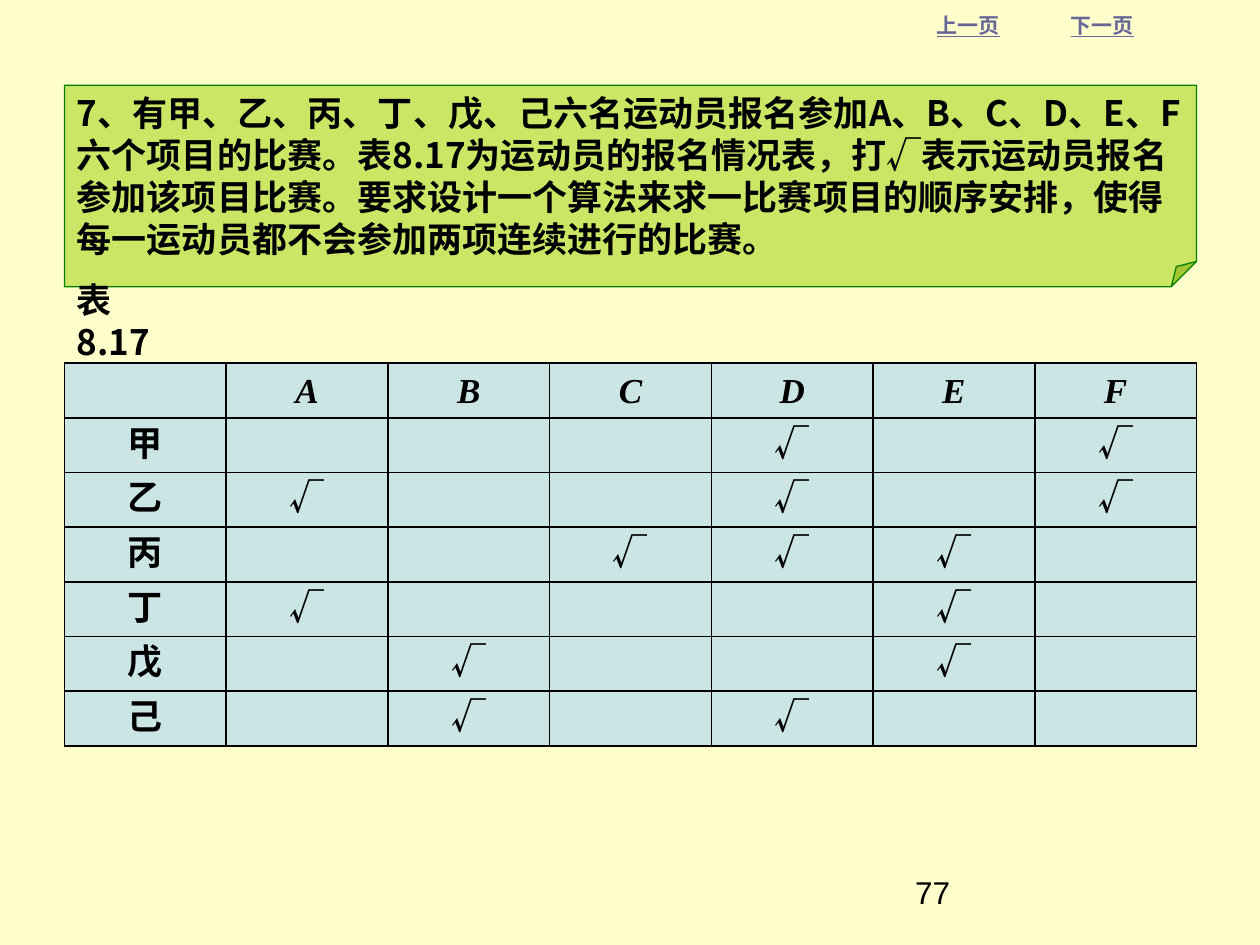
"""Build the slide with the athletes' entry table and its scheduling exercise."""
from dataclasses import dataclass

from pptx import Presentation
from pptx import util as u
from pptx.dml import color as c
from pptx.enum import shapes, text
from pptx.oxml import parse_xml
from pptx.oxml import ns


@dataclass(frozen=True)
class Theme:
    page: str = "FFFFCC"
    ink: str = "000000"
    link: str = "666699"
    note: str = "99CC00"
    note_line: str = "008000"
    cell: str = "99CCFF"
    body_font: str = "Noto Sans CJK SC"
    label_font: str = "Times New Roman"
    link_font: str = "Montserrat"
    number_font: str = "Arial"
    body: int = 20
    number: int = 18
    small: int = 12


theme = Theme()


def write(tf, words, font, size, color=theme.ink, bold=True, italic=False,
          underline=False, align=text.PP_ALIGN.LEFT):
    p = tf.paragraphs[0]
    p.alignment = align
    p.line_spacing = u.Pt(size * 1.2)
    r = p.add_run()
    r.text = words
    f = r.font
    f.name, f.size = font, u.Pt(size)
    f.bold, f.italic, f.underline = bold, italic, underline
    f.color.rgb = c.RGBColor.from_string(color)
    ea = parse_xml(f'<a:ea {ns.nsdecls("a")} typeface="{theme.body_font}"/>')
    r._r.get_or_add_rPr().append(ea)


def fill_half(fill, color):
    fill.solid()
    fill.fore_color.rgb = c.RGBColor.from_string(color)
    rgb = fill._xPr.find(ns.qn("a:solidFill"))[0]
    rgb.append(parse_xml(f'<a:alpha {ns.nsdecls("a")} val="50000"/>'))


prs = Presentation()
prs.slide_width, prs.slide_height = u.Cm(25.4), u.Cm(19.05)
s = prs.slides.add_slide(prs.slide_layouts[6])
s.background.fill.solid()
s.background.fill.fore_color.rgb = c.RGBColor.from_string(theme.page)

links = [("上一页", 18.62, 1.78, False), ("下一页", 21.1, 2.0, True)]
for words, left, width, wrap in links:
    tf = s.shapes.add_textbox(u.Cm(left), u.Cm(0.13), u.Cm(width), u.Cm(0.76)).text_frame
    tf.word_wrap = wrap
    tf.vertical_anchor = text.MSO_ANCHOR.BOTTOM
    write(tf, words, theme.link_font, theme.small, theme.link, underline=True,
          align=text.PP_ALIGN.RIGHT)

note = s.shapes.add_shape(shapes.MSO_SHAPE.FOLDED_CORNER,
                          u.Cm(1.3), u.Cm(1.72), u.Cm(22.82), u.Cm(4.06))
note.shadow.inherit = False
fold = next(note._element.iter(ns.qn("a:avLst")))
fold.append(parse_xml(f'<a:gd {ns.nsdecls("a")} name="adj" fmla="val 12500"/>'))
fill_half(note.fill, theme.note)
note.line.color.rgb = c.RGBColor.from_string(theme.note_line)
note.line.width = u.Pt(0.75)
tf = note.text_frame
tf.word_wrap = True
tf.vertical_anchor = text.MSO_ANCHOR.TOP
write(tf, "7、有甲、乙、丙、丁、戊、己六名运动员报名参加A、B、C、D、E、F六个项目的比赛。"
          "表8.17为运动员的报名情况表，打√表示运动员报名参加该项目比赛。"
          "要求设计一个算法来求一比赛项目的顺序安排，"
          "使得每一运动员都不会参加两项连续进行的比赛。", theme.body_font, theme.body)

labels = [
    ("表8.17", 1.3, 5.92, 2.5, 1.1, theme.body_font, theme.body, True),
    ("77", 18.2, 17.35, 5.92, 1.27, theme.number_font, theme.number, False),
]
for words, left, top, width, height, font, size, bold in labels:
    tf = s.shapes.add_textbox(u.Cm(left), u.Cm(top), u.Cm(width), u.Cm(height)).text_frame
    tf.word_wrap = True
    tf.vertical_anchor = text.MSO_ANCHOR.MIDDLE
    write(tf, words, font, size, bold=bold)

events = "ABCDEF"
entries = {"甲": "DF", "乙": "ADF", "丙": "CDE", "丁": "AE", "戊": "BE", "己": "BD"}
grid = [["", *events]]
for athlete, chosen in entries.items():
    grid.append([athlete] + ["√" if event in chosen else "" for event in events])

n_rows, n_cols = len(grid), len(grid[0])
table = s.shapes.add_table(n_rows, n_cols, u.Cm(1.3), u.Cm(7.32),
                           u.Cm(3.26 * n_cols), u.Cm(1.1 * n_rows)).table
for col in table.columns:
    col.width = u.Cm(3.26)
for row in table.rows:
    row.height = u.Cm(1.1)
for i, row in enumerate(grid):
    for j, words in enumerate(row):
        cell = table.cell(i, j)
        cell.vertical_anchor = text.MSO_ANCHOR.MIDDLE
        for side in "LRTB":
            cell._tc.get_or_add_tcPr().append(parse_xml(
                f'<a:ln{side} {ns.nsdecls("a")} w="12700"><a:solidFill>'
                f'<a:srgbClr val="{theme.ink}"/></a:solidFill></a:ln{side}>'))
        fill_half(cell.fill, theme.cell)
        if words:
            font = theme.body_font if words == "√" else theme.label_font
            write(cell.text_frame, words, font, theme.body, italic=i == 0,
                  align=text.PP_ALIGN.CENTER)

prs.save("out.pptx")
